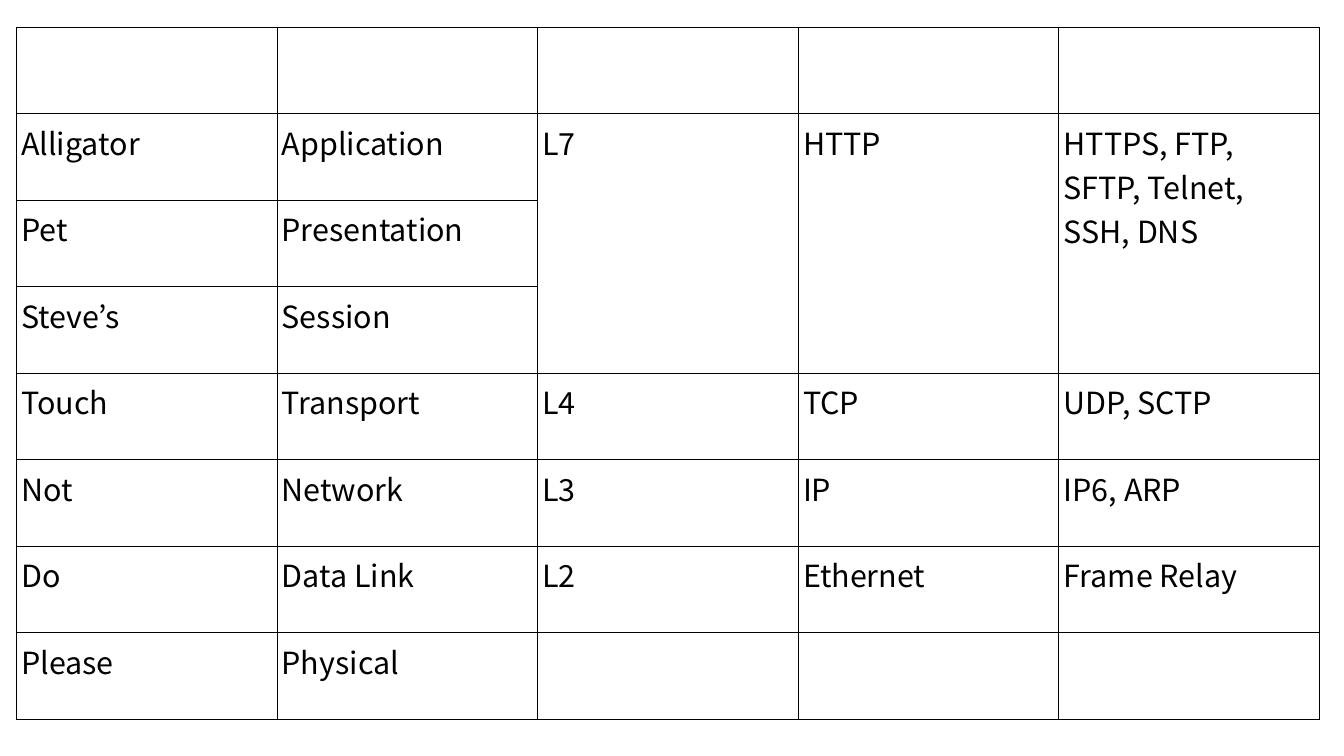
import pptx
import pptx.dml.color
import pptx.oxml
import pptx.oxml.ns
import pptx.util
from pptx.util import Cm

COLORS = {"text": "000000", "border": "000000", "background": "FFFFFF"}
FONT_NAME = "Noto Sans CJK KR"
FONT_SIZE = pptx.util.Pt(18)
BORDER_WIDTH = pptx.util.Pt(0.57)

LAYERS = [
    ["", "", "", "", ""],
    ["Alligator", "Application", "L7", "HTTP", "HTTPS, FTP, SFTP, Telnet, SSH, DNS"],
    ["Pet", "Presentation", "", "", ""],
    ["Steve’s", "Session", "", "", ""],
    ["Touch", "Transport", "L4", "TCP", "UDP, SCTP"],
    ["Not", "Network", "L3", "IP", "IP6, ARP"],
    ["Do", "Data Link", "L2", "Ethernet", "Frame Relay"],
    ["Please", "Physical", "", "", ""],
]
MERGED_ROWS = (1, 3)
MERGED_COLUMNS = (2, 3, 4)


def add_borders(cell):
    properties = cell._tc.get_or_add_tcPr()
    for side in ("lnL", "lnR", "lnT", "lnB"):
        properties.append(pptx.oxml.parse_xml(
            f'<a:{side} {pptx.oxml.ns.nsdecls("a")} w="{int(BORDER_WIDTH)}">'
            f'<a:solidFill><a:srgbClr val="{COLORS["border"]}"/></a:solidFill>'
            f'</a:{side}>'))


def format_cell(cell, text):
    cell.margin_left = cell.margin_right = Cm(0.1)
    cell.margin_top = cell.margin_bottom = Cm(0.13)
    add_borders(cell)
    cell.fill.background()
    paragraph = cell.text_frame.paragraphs[0]
    paragraph.font.size = FONT_SIZE
    if text:
        run = paragraph.add_run()
        run.text = text
        run.font.name = FONT_NAME
        run.font.size = FONT_SIZE
        run.font.bold = False
        run.font.color.rgb = pptx.dml.color.RGBColor.from_string(COLORS["text"])


def add_layer_table(slide, left, top, width, height):
    row_count, column_count = len(LAYERS), len(LAYERS[0])
    shape = slide.shapes.add_table(row_count, column_count, left, top, width, height)
    table = shape.table
    table.first_row = False
    table.horz_banding = False
    for column in table.columns:
        column.width = width // column_count
    for row in table.rows:
        row.height = height // row_count
    for row_index, texts in enumerate(LAYERS):
        for column_index, text in enumerate(texts):
            format_cell(table.cell(row_index, column_index), text)
    first_row, last_row = MERGED_ROWS
    for column_index in MERGED_COLUMNS:
        table.cell(first_row, column_index).merge(table.cell(last_row, column_index))


def main():
    presentation = pptx.Presentation()
    presentation.slide_width = Cm(28)
    presentation.slide_height = Cm(15.75)
    slide = presentation.slides.add_slide(presentation.slide_layouts[6])
    background = slide.background.fill
    background.solid()
    background.fore_color.rgb = pptx.dml.color.RGBColor.from_string(COLORS["background"])
    add_layer_table(slide, Cm(0.34), Cm(0.57), Cm(27.15), Cm(14.42))
    presentation.save("out.pptx")


if __name__ == "__main__":
    main()
